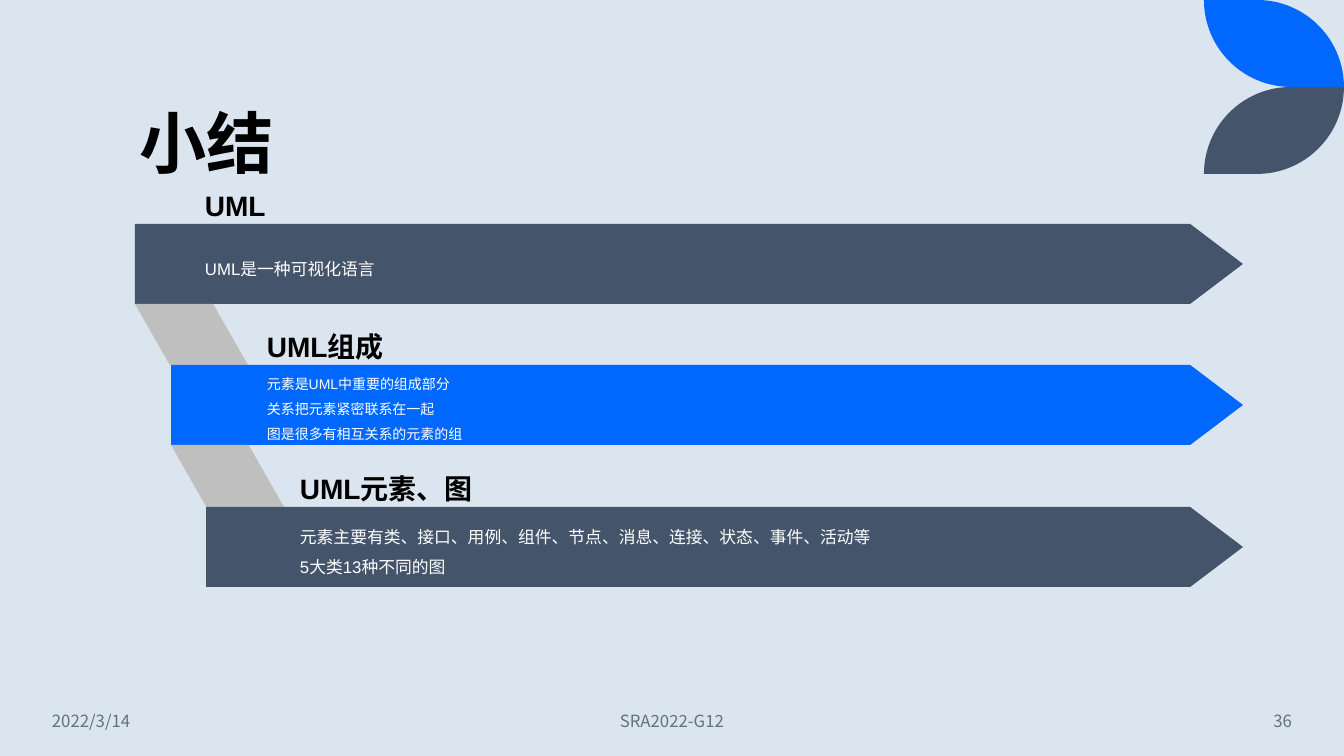
import math

import pptx
import pptx.util
import pptx.dml.color
import pptx.enum.shapes
import pptx.enum.text
import pptx.oxml
import pptx.oxml.ns

THEME = {
    "background": "DAE5EF", "slate": "44546A", "blue": "0068FF", "ribbon": "BFBFBF",
    "dark": "000000", "light": "FFFFFF", "footer": "637183",
    "latin": "Arial", "cjk": "Noto Sans CJK SC",
    "title_size": 48, "heading_size": 20, "body_size": 12, "dense_size": 10,
}
PX = 12192000 / 1344
ALIGN = pptx.enum.text.PP_ALIGN
ANCHOR = pptx.enum.text.MSO_ANCHOR
SHAPE = pptx.enum.shapes.MSO_SHAPE


def emu(*lengths):
    return [round(length * PX) for length in lengths]


def write(box, text, size, color, font=THEME["latin"], bold=False,
          align=ALIGN.LEFT, anchor=ANCHOR.MIDDLE, spacing=1.0):
    frame = box.text_frame
    frame.word_wrap = True
    frame.auto_size = pptx.enum.text.MSO_AUTO_SIZE.NONE
    frame.vertical_anchor = anchor
    frame.text = text
    for paragraph in frame.paragraphs:
        paragraph.alignment = align
        paragraph.line_spacing = spacing
        paragraph.space_before = pptx.util.Pt(0)
        run = paragraph.runs[0]
        run.font.size = pptx.util.Pt(size)
        run.font.bold = bold
        run.font.name = font
        run.font.color.rgb = pptx.dml.color.RGBColor.from_string(THEME[color])
        east_asian = pptx.oxml.parse_xml(
            f'<a:ea {pptx.oxml.ns.nsdecls("a")} typeface="{THEME["cjk"]}"/>')
        run.font._element.append(east_asian)


deck = pptx.Presentation()
deck.slide_width, deck.slide_height = emu(1344, 756)
slide = deck.slides.add_slide(deck.slide_layouts[5])
slide.background.fill.solid()
slide.background.fill.fore_color.rgb = pptx.dml.color.RGBColor.from_string(THEME["background"])
painted = []  # (shape, theme colour)

# Corner leaves: the lower one mirrors the upper one
RADIUS = 87
quarter = [math.radians(step * 3) for step in range(31)]
leaf = [(1204, 0)]
leaf += [(1257 + RADIUS * math.sin(a), RADIUS - RADIUS * math.cos(a)) for a in quarter]
leaf += [(1291 - RADIUS * math.sin(a), RADIUS * math.cos(a)) for a in quarter]
for mirrored, color in ((False, "blue"), (True, "slate")):
    outline = [emu(x, 2 * RADIUS - y if mirrored else y) for x, y in leaf]
    builder = slide.shapes.build_freeform(*outline[0])
    builder.add_line_segments(outline[1:], close=True)
    painted.append((builder.convert_to_shape(), color))

# Title
title = slide.shapes.title
title.left, title.top, title.width, title.height = emu(129, 42, 1078, 146)
write(title, "小结", THEME["title_size"], "dark", font=THEME["cjk"], bold=True,
      anchor=ANCHOR.BOTTOM, spacing=0.9)

# Footer
for text, left, width, align in (
        ("2022/3/14", 42, 188, ALIGN.LEFT),
        ("SRA2022-G12", 445, 454, ALIGN.CENTER),
        ("36", 1119, 183, ALIGN.RIGHT)):
    footer = slide.shapes.add_textbox(*emu(left, 701, width, 40))
    write(footer, text, THEME["body_size"], "footer", font=THEME["cjk"], align=align)

# Summary steps: arrow bar, heading above it, body on it, ribbon to the next
BAR_HEIGHT, RIBBON_WIDTH, BAR_RIGHT, TEXT_RIGHT = 80, 113, 1243, 1184
steps = [
    (135, 224, 195, "slate", "body_size", "UML", "UML是一种可视化语言"),
    (171, 365, 257, "blue", "dense_size", "UML组成",
     "元素是UML中重要的组成部分\n关系把元素紧密联系在一起\n图是很多有相互关系的元素的组"),
    (206, 507, 290, "slate", "body_size", "UML元素、图",
     "元素主要有类、接口、用例、组件、节点、消息、连接、状态、事件、活动等\n5大类13种不同的图"),
]
for index, (left, top, text_left, color, size, heading, body) in enumerate(steps):
    bar = slide.shapes.add_shape(
        SHAPE.PENTAGON, *emu(left, top, BAR_RIGHT - left, BAR_HEIGHT))
    bar.adjustments[0] = 0.66
    painted.append((bar, color))

    if index + 1 < len(steps):
        ribbon_top = top + BAR_HEIGHT
        ribbon = slide.shapes.add_shape(
            SHAPE.PARALLELOGRAM,
            *emu(left, ribbon_top, RIBBON_WIDTH, steps[index + 1][1] - ribbon_top))
        ribbon.adjustments[0] = 0.57
        ribbon._element.spPr.xfrm.set("flipH", "1")
        painted.append((ribbon, "ribbon"))

    body_box = slide.shapes.add_textbox(
        *emu(text_left, top, TEXT_RIGHT - text_left, BAR_HEIGHT))
    write(body_box, body, THEME[size], "light", spacing=1.5)
    heading_box = slide.shapes.add_textbox(*emu(text_left, top - 39, 257, 41))
    write(heading_box, heading, THEME["heading_size"], "dark", bold=True)

# Flat fills without outline or shadow
for shape, color in painted:
    shape.shadow.inherit = False
    shape.fill.solid()
    shape.fill.fore_color.rgb = pptx.dml.color.RGBColor.from_string(THEME[color])
    shape.line.fill.background()

deck.save("out.pptx")
